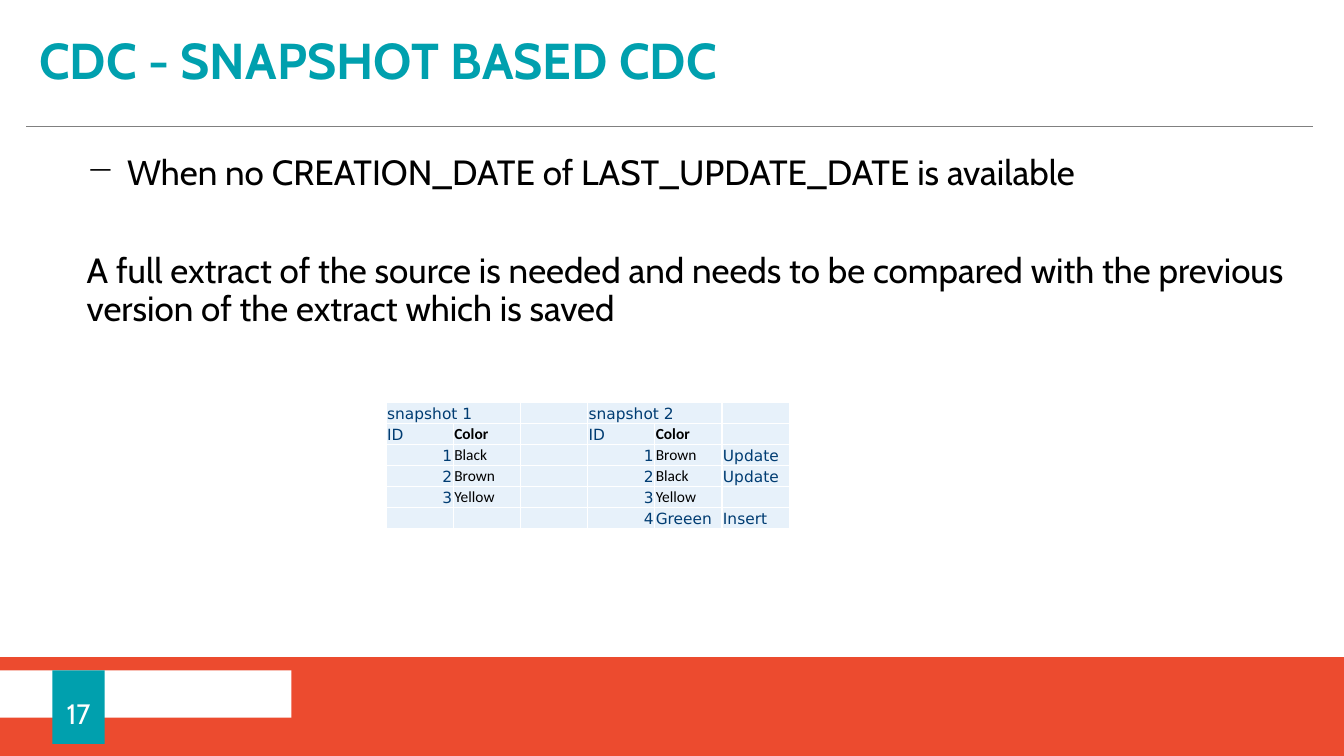
from lxml.etree import SubElement
from pptx import Presentation
from pptx.dml.color import RGBColor as Rgb
from pptx.enum.shapes import MSO_CONNECTOR as Connector, MSO_SHAPE as Shape
from pptx.enum.text import MSO_ANCHOR as Anchor, PP_ALIGN as Align
from pptx.oxml.ns import qn
from pptx.util import Inches, Pt

TEAL, ORANGE, WHITE, BLACK = "00A0AE", "EC4B2F", "FFFFFF", "000000"
GRAY, NAVY, PALE = "808080", "003C72", "E7F1FA"
LEFT, RIGHT, CENTER = Align.LEFT, Align.RIGHT, Align.CENTER


def color(code):
    return Rgb.from_string(code)


def apply(target, values):
    for name, value in values.items():
        setattr(target, name, value)


class SlideBuilder:
    """Draws styled elements on one slide, placed in percent of its size."""

    def __init__(self, presentation):
        self.width = presentation.slide_width
        self.height = presentation.slide_height
        self.slide = presentation.slides.add_slide(presentation.slide_layouts[6])
        self.shapes = self.slide.shapes

    def place(self, left, top, width, height):
        return (round(self.width * left / 100), round(self.height * top / 100),
                round(self.width * width / 100), round(self.height * height / 100))

    def frame(self, frame, insets, anchor=Anchor.TOP, wrap=True):
        sides = ("margin_left", "margin_top", "margin_right", "margin_bottom")
        apply(frame, dict(zip(sides, map(Inches, insets))))
        apply(frame, {"vertical_anchor": anchor, "word_wrap": wrap})

    def add_text(self, paragraph, text, size, code, font="Cabin", bold=False, **layout):
        run = paragraph.add_run()
        run.text = text
        apply(run.font, {"name": font, "size": Pt(size), "bold": bold})
        run.font.color.rgb = color(code)
        apply(paragraph, {"alignment": LEFT, **layout})

    def indent(self, paragraph, margin, hanging=0, bullet=None):
        properties = paragraph._p.get_or_add_pPr()
        properties.set("marL", str(Inches(margin)))
        properties.set("indent", str(Inches(hanging)))
        if bullet:
            SubElement(properties, qn("a:buChar"), char=bullet)

    def box(self, area, fill):
        shape = self.shapes.add_shape(Shape.RECTANGLE, *self.place(*area))
        shape.shadow.inherit = False
        shape.fill.solid()
        shape.fill.fore_color.rgb = color(fill)
        shape.line.fill.background()
        return shape

    def text_box(self, area, insets, anchor=Anchor.TOP):
        shape = self.shapes.add_textbox(*self.place(*area))
        self.frame(shape.text_frame, insets, anchor)
        return shape.text_frame

    def rule(self, left, right, top, code, weight):
        start, level, end, _ = self.place(left, top, right, 0)
        line = self.shapes.add_connector(Connector.STRAIGHT, start, level, end, level)
        line.line.color.rgb = color(code)
        line.line.width = Pt(weight)
        SubElement(line._element.spPr, qn("a:effectLst"))

    def border(self, cell, code, weight):
        properties = cell._tc.get_or_add_tcPr()
        for index, side in enumerate(("lnL", "lnR", "lnT", "lnB")):
            line = SubElement(properties, qn(f"a:{side}"), w=str(Pt(weight)))
            fill = SubElement(line, qn("a:solidFill"))
            SubElement(fill, qn("a:srgbClr"), val=code)
            properties.insert(index, line)

    def table(self, area, rows, merges, size, style):
        table = self.shapes.add_table(len(rows), len(rows[0]), *self.place(*area)).table
        apply(table, {"first_row": False, "horz_banding": False})
        for row, texts in enumerate(rows):
            for column, text in enumerate(texts):
                cell = table.cell(row, column)
                sides = ("margin_left", "margin_top", "margin_right", "margin_bottom")
                apply(cell, dict(zip(sides, map(Inches, (0.01, 0.01, 0.01, 0)))))
                cell.vertical_anchor = Anchor.BOTTOM
                cell.fill.solid()
                cell.fill.fore_color.rgb = color(PALE)
                self.border(cell, WHITE, 1)
                paragraph = cell.text_frame.paragraphs[0]
                if text:
                    self.add_text(paragraph, text, size, **style(text))
                else:
                    SubElement(paragraph._p, qn("a:endParaRPr"), sz=str(size * 100))
        for row, first, last in merges:
            table.cell(row, first).merge(table.cell(row, last))


def snapshot_style(text):
    if text in ("Color", "Black", "Brown", "Yellow"):
        return {"code": BLACK, "font": "Calibri", "bold": text == "Color"}
    return {"code": NAVY, "font": "DejaVu Sans",
            "alignment": RIGHT if text.isdigit() else LEFT}


SNAPSHOTS = [
    ("snapshot 1", "", "", "snapshot 2", "", ""),
    ("ID", "Color", "", "ID", "Color", ""),
    ("1", "Black", "", "1", "Brown", "Update"),
    ("2", "Brown", "", "2", "Black", "Update"),
    ("3", "Yellow", "", "3", "Yellow", ""),
    ("", "", "", "4", "Greeen", "Insert"),
]


def main():
    presentation = Presentation()
    apply(presentation, {"slide_width": Inches(13.33), "slide_height": Inches(7.5)})
    builder = SlideBuilder(presentation)

    builder.box((0, 86.93, 100, 13.07), ORANGE)
    builder.box((0, 88.67, 21.68, 6.27), WHITE)
    builder.rule(1.95, 97.67, 16.67, GRAY, 0.5)

    body = builder.text_box((0, 16.8, 100, 64.53), (0.47, 0.28, 0.47, 0.16))
    spacing = {"line_spacing": 0.9, "space_before": Pt(4), "space_after": Pt(4)}
    condition = body.paragraphs[0]
    builder.add_text(condition, "When no CREATION_DATE of LAST_UPDATE_DATE is available",
                     25, BLACK, **spacing)
    builder.indent(condition, 0.79, -0.4, "−")
    method = body.add_paragraph()
    builder.add_text(method, "A full extract of the source is needed and needs to be compared "
                     "with the previous version of the extract which is saved",
                     25, BLACK, **{**spacing, "space_before": Pt(39)})
    builder.indent(method, 0.39)

    title = builder.text_box((0, 0, 100, 16.67), (0.39, 0.2, 0.39, 0.16), Anchor.MIDDLE)
    builder.add_text(title.paragraphs[0], "CDC - SNAPSHOT BASED CDC", 36, TEAL,
                     bold=True, line_spacing=0.8)

    badge = builder.box((3.9, 88.67, 3.9, 9.73), TEAL)
    builder.frame(badge.text_frame, (0, 0.12, 0, 0), Anchor.MIDDLE, False)
    builder.add_text(badge.text_frame.paragraphs[0], "17", 20, WHITE, alignment=CENTER)

    builder.table((28.73, 53.2, 30, 16.67), SNAPSHOTS, [(0, 0, 1), (0, 3, 4)],
                  11, snapshot_style)
    presentation.save("out.pptx")


if __name__ == "__main__":
    main()
